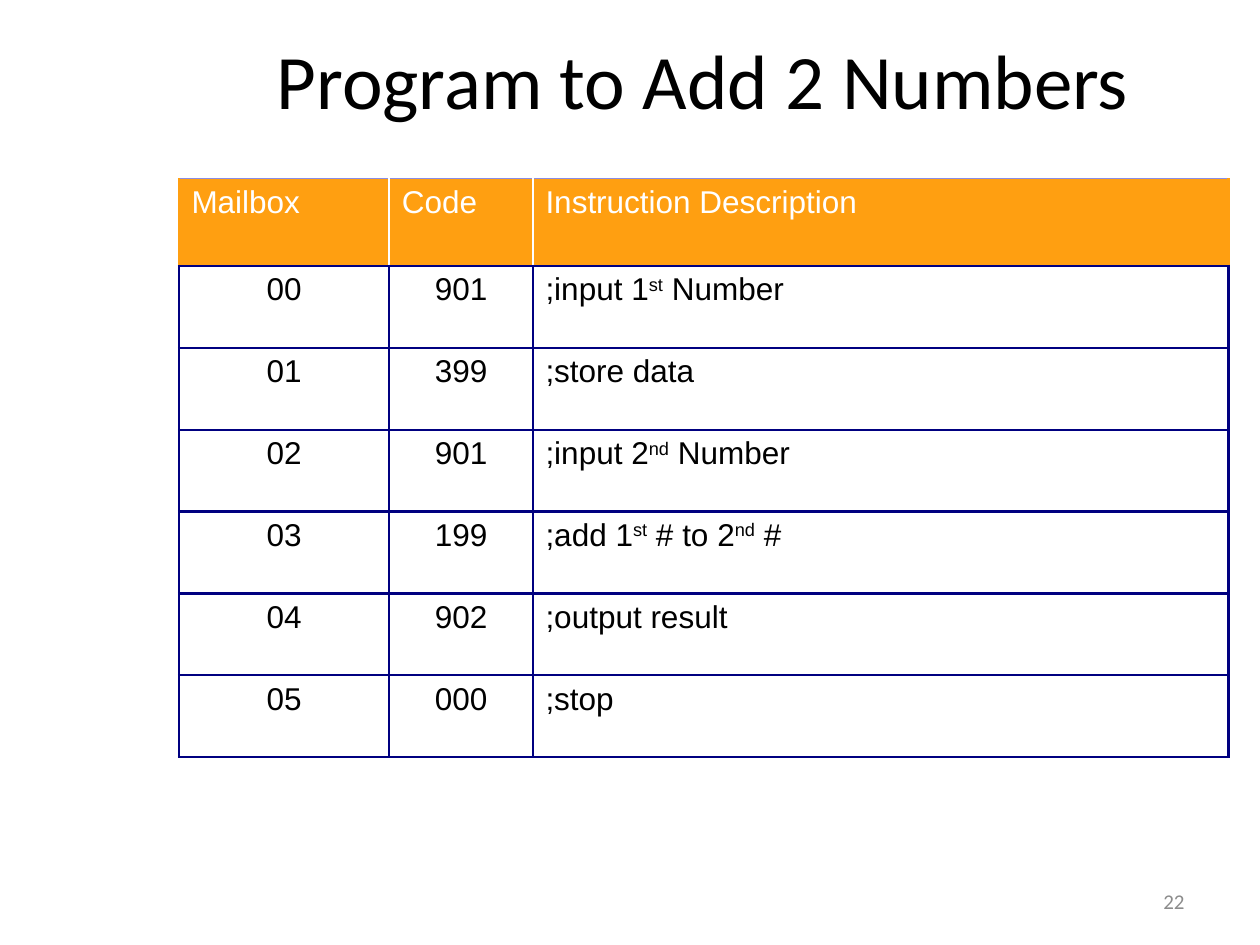
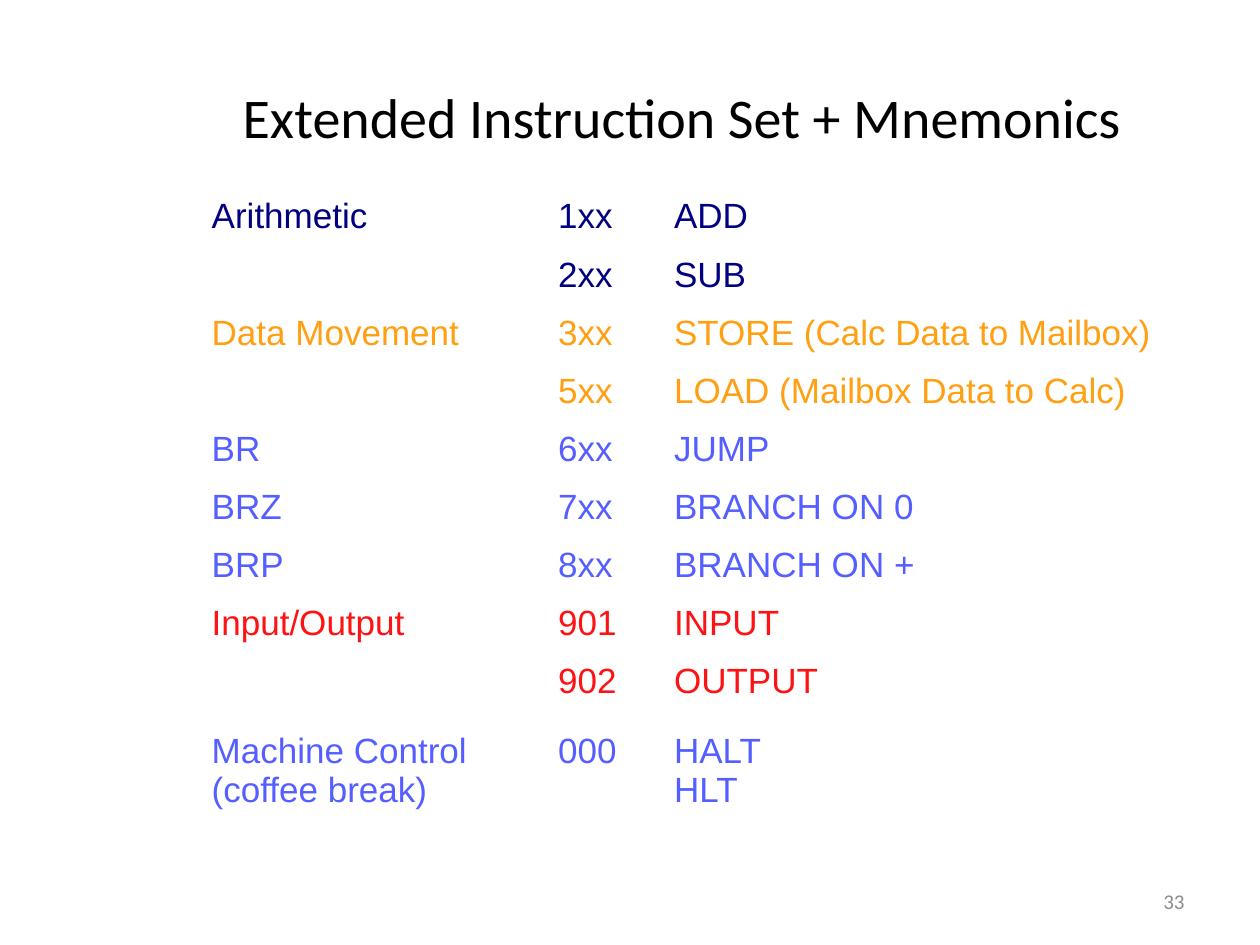
from dataclasses import dataclass

from lxml.etree import SubElement
from pptx import Presentation
from pptx.dml.color import RGBColor
from pptx.enum.text import MSO_ANCHOR, PP_ALIGN
from pptx.oxml.ns import qn
from pptx.util import Inches, Pt


@dataclass(frozen=True)
class Theme:
    black: str = "000000"
    white: str = "FFFFFF"
    gray: str = "8C8C8C"
    navy: str = "000080"
    orange: str = "FF9F11"
    blue: str = "555FFF"
    lavender: str = "8C8CE2"
    red: str = "FD1313"
    heading_font: str = "Calibri"
    table_font: str = "Arial"
    title_size: int = 44
    long_title_size: int = 32
    program_size: int = 18
    mnemonic_size: int = 20
    number_size: int = 12
    thin: float = 0.75
    thick: float = 1.5


THEME = Theme()
NO_STYLE = "{2D5ABB26-0587-4C30-8999-92F81FD0307C}"
NUMBER_BOX = (7.17, 6.95, 2.33, 0.4)

# A pair of carets encloses an ordinal suffix
PROGRAM = [
    ("Mailbox", "Code", "Instruction Description"),
    ("00", "901", ";input 1^st^ Number"),
    ("01", "399", ";store data"),
    ("02", "901", ";input 2^nd^ Number"),
    ("03", "199", ";add 1^st^ # to 2^nd^ #"),
    ("04", "902", ";output result"),
    ("05", "000", ";stop"),
]

# Each group of instructions has its own colour
INSTRUCTION_GROUPS = [
    (THEME.navy, [("Arithmetic", "1xx", "ADD"), ("", "2xx", "SUB")]),
    (THEME.orange, [("Data Movement", "3xx", "STORE (Calc Data to Mailbox)"),
                    ("", "5xx", "LOAD (Mailbox Data to Calc)")]),
    (THEME.blue, [("BR", "6xx", "JUMP"), ("BRZ", "7xx", "BRANCH ON 0"),
                  ("BRP", "8xx", "BRANCH ON +")]),
    (THEME.red, [("Input/Output", "901", "INPUT"), ("", "902", "OUTPUT")]),
    (THEME.blue, [("Machine Control\n(coffee break)", "000", "HALT\nHLT")]),
]


def write_text(frame, text, font, size, color, align=PP_ALIGN.LEFT):
    """Write one paragraph per line, raising the parts between carets."""
    for index, line in enumerate(text.split("\n")):
        para = frame.add_paragraph() if index else frame.paragraphs[0]
        para.alignment = align
        for position, part in enumerate(line.split("^")):
            if not part:
                continue
            span = para.add_run()
            span.text = part
            for name, value in {"name": font, "size": Pt(size)}.items():
                setattr(span.font, name, value)
            span.font.color.rgb = RGBColor.from_string(color)
            if position % 2:
                span.font._element.set("baseline", "30000")


def add_label(page, box, text, size, color, align):
    frame = page.shapes.add_textbox(*map(Inches, box)).text_frame
    frame.word_wrap = True
    frame.vertical_anchor = MSO_ANCHOR.MIDDLE
    write_text(frame, text, THEME.heading_font, size, color, align)


def add_page(deck, title, title_box, title_size, number):
    page = deck.slides.add_slide(deck.slide_layouts[6])
    add_label(page, title_box, title, title_size, THEME.black, PP_ALIGN.CENTER)
    add_label(page, NUMBER_BOX, number, THEME.number_size, THEME.gray, PP_ALIGN.RIGHT)
    return page


def add_plain_table(page, left, top, widths, heights):
    """Add a table with no style, sized by its columns and rows."""
    box = map(Inches, (left, top, sum(widths), sum(heights)))
    table = page.shapes.add_table(len(heights), len(widths), *box).table
    table.first_row = table.horz_banding = False
    table._tbl.tblPr.find(qn("a:tableStyleId")).text = NO_STYLE
    for column, width in zip(table.columns, widths):
        column.width = Inches(width)
    for row, height in zip(table.rows, heights):
        row.height = Inches(height)
    return table


def set_borders(cell, borders):
    """Draw the borders, given as side: (colour, points) in L, R, T, B order."""
    properties = cell._tc.get_or_add_tcPr()
    for side, (color, width) in borders.items():
        line = SubElement(properties, qn(f"a:ln{side}"), w=str(Pt(width)))
        fill = SubElement(line, qn("a:solidFill"))
        SubElement(fill, qn("a:srgbClr"), val=color)


def fill_program_table(page, left, top):
    widths = [1.67, 1.14, 5.52]
    heights = [0.69] + [0.65] * (len(PROGRAM) - 1)
    table = add_plain_table(page, left, top, widths, heights)
    grid = (THEME.navy, THEME.thick)
    divider = (THEME.white, THEME.thick)
    edge = (THEME.orange, THEME.thick)
    last = len(widths) - 1
    for r, row in enumerate(PROGRAM):
        for c, text in enumerate(row):
            cell = table.cell(r, c)
            header = r == 0
            borders = dict.fromkeys("LRTB", grid)
            if header:
                borders.update(L=divider if c else edge,
                               R=divider if c < last else edge,
                               T=(THEME.lavender, THEME.thin))
            set_borders(cell, borders)
            if header:
                cell.fill.solid()
                cell.fill.fore_color.rgb = RGBColor.from_string(THEME.orange)
            else:
                cell.fill.background()
            centered = not header and c < last
            write_text(cell.text_frame, text, THEME.table_font, THEME.program_size,
                       THEME.white if header else THEME.black,
                       PP_ALIGN.CENTER if centered else PP_ALIGN.LEFT)


def fill_mnemonic_table(page, left, top):
    rows = [(color, row) for color, group in INSTRUCTION_GROUPS for row in group]
    heights = [0.47] + [0.46] * (len(rows) - 3) + [0.56, 0.88]
    table = add_plain_table(page, left, top, [2.75, 0.92, 4.33], heights)
    for r, (color, row) in enumerate(rows):
        for c, text in enumerate(row):
            cell = table.cell(r, c)
            cell.fill.background()
            write_text(cell.text_frame, text, THEME.table_font,
                       THEME.mnemonic_size, color)


def main():
    deck = Presentation()
    deck.slide_width, deck.slide_height = Inches(10), Inches(7.5)

    # Sample program
    page = add_page(deck, "Program to Add 2 Numbers", (1.33, 0, 8.5, 1.25),
                    THEME.title_size, "22")
    fill_program_table(page, 1.42, 1.42)

    # Instruction set
    page = add_page(deck, "Extended Instruction Set + Mnemonics",
                    (0.83, 0.3, 9.17, 1.25), THEME.long_title_size, "33")
    fill_mnemonic_table(page, 1.58, 1.51)

    deck.save("out.pptx")


if __name__ == "__main__":
    main()
